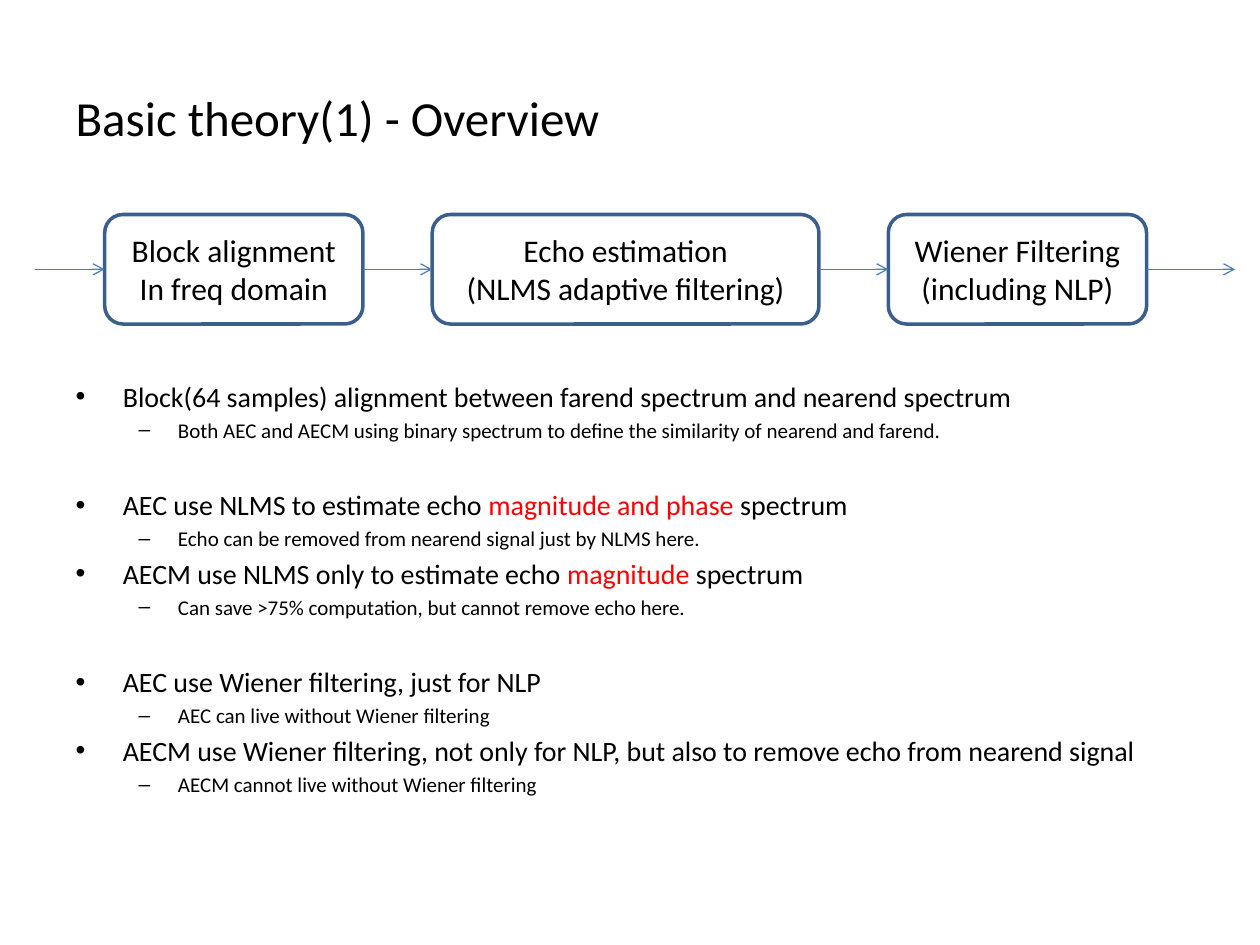
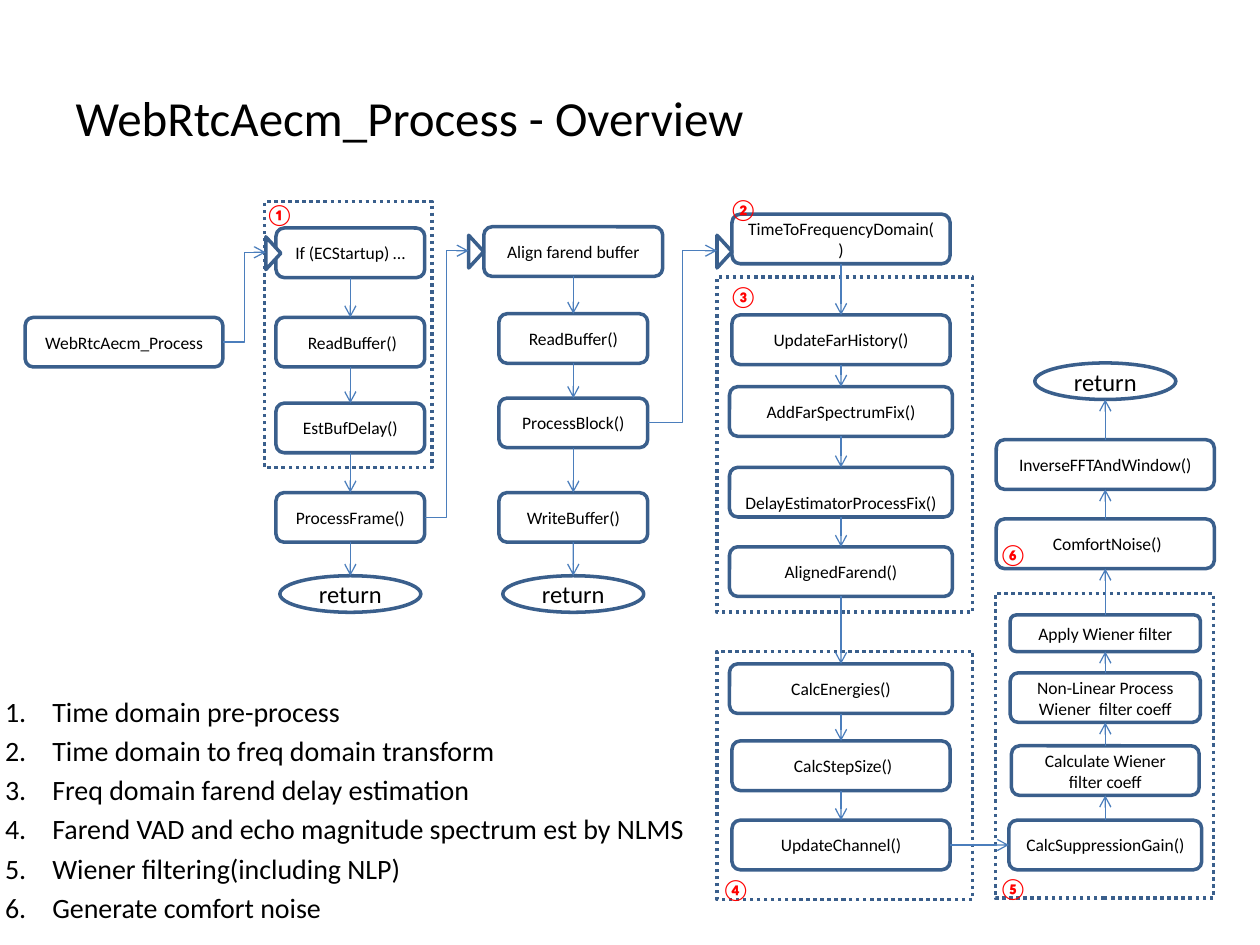
"""Builds two slides on acoustic echo cancellation: the theory and the process flow."""
from lxml import etree
from pptx import Presentation
from pptx.dml.color import RGBColor
from pptx.enum import dml, shapes, text
from pptx.oxml import ns
from pptx.util import Length, Pt

BLACK = RGBColor(0x00, 0x00, 0x00)
WHITE = RGBColor(0xFF, 0xFF, 0xFF)
RED = RGBColor(0xFF, 0x00, 0x00)
OUTLINE = RGBColor(0x3A, 0x5F, 0x8C)
ARROW = RGBColor(0x4B, 0x7E, 0xBC)
FONT = "Calibri"
KIND = shapes.MSO_SHAPE
TOP, LEFT, BOTTOM, RIGHT = range(4)
TITLE_BOX = (36, 21.6, 648, 90)
NODE_HEIGHT = 28.35
RETURN_SIZE = (80.6, 20.9)


def add_span(para, content, *, size, color=BLACK, bold=None):
    """Add a formatted run of text to a paragraph."""
    span = para.add_run()
    span.text = content
    span.font.name = FONT
    span.font.size = Pt(size)
    span.font.bold = bold
    span.font.color.rgb = color


def add_child(parent, tag, **attributes):
    """Append a drawing element to an XML parent."""
    return etree.SubElement(parent, ns.qn(tag), attributes)


def place(item, box):
    """Move an object to a box of left, top, width and height."""
    item.left, item.top, item.width, item.height = map(Pt, box)


def add_page(deck, title, body_box):
    """Add a titled slide and return it with its body text frame."""
    page = deck.slides.add_slide(deck.slide_layouts[1])
    heading, body = page.placeholders
    place(heading, TITLE_BOX)
    para = heading.text_frame.paragraphs[0]
    para.alignment = text.PP_ALIGN.LEFT
    add_span(para, title, size=28)
    place(body, body_box)
    body.text_frame.auto_size = text.MSO_AUTO_SIZE.NONE
    return page, body.text_frame


def next_para(frame):
    """Return the empty first paragraph of a frame, or a new one."""
    first = frame.paragraphs[0]
    return frame.add_paragraph() if first.runs else first


def add_node(page, box, content="", *, kind=KIND.ROUNDED_RECTANGLE, size=10, fill=None):
    """Add an outlined shape with centred lines of text."""
    node = page.shapes.add_shape(kind, *map(Pt, box))
    node.shadow.inherit = False
    if fill is None:
        node.fill.background()
    else:
        node.fill.solid()
        node.fill.fore_color.rgb = fill
    node.line.color.rgb = OUTLINE
    node.line.width = Pt(2)
    for line in filter(None, content.split("\n")):
        para = next_para(node.text_frame)
        para.alignment = text.PP_ALIGN.CENTER
        add_span(para, line, size=size)
    return node


def add_arrow(page, start, end, kind=shapes.MSO_CONNECTOR.STRAIGHT):
    """Add a thin connector with an open arrowhead at its end."""
    arrow = page.shapes.add_connector(kind, *map(Pt, (*start, *end)))
    arrow.line.color.rgb = ARROW
    arrow.line.width = Pt(0.75)
    add_child(arrow.line._get_or_add_ln(), "a:tailEnd", type="arrow")
    add_child(arrow._element.spPr, "a:effectLst")
    return arrow


def link(page, source, source_side, target, target_side):
    """Join two shapes with a straight arrow glued to their sides."""
    arrow = add_arrow(page, (0, 0), (0, 0))
    arrow.begin_connect(source, source_side)
    arrow.end_connect(target, target_side)


def add_pipeline(page, box, stages, gap, tail):
    """Add a row of stages with arrows into, between and out of them."""
    left, top, height = box
    middle = top + height / 2
    previous = None
    for content, width in stages:
        node = add_node(page, (left, top, width, height), content, size=18, fill=WHITE)
        if previous is None:
            add_arrow(page, (left - gap, middle), (left, middle))
        else:
            link(page, previous, RIGHT, node, LEFT)
        previous = node
        left += width + gap
    end = left - gap
    add_arrow(page, (end, middle), (end + tail, middle))


def add_column(page, center, top, steps, upward=False):
    """Stack centred steps, given as text, offset, width and height, and link them."""
    nodes = []
    for content, offset, width, height in steps:
        box = (center - width / 2, top + offset, width, height)
        if content == "return":
            node = add_node(page, box, content, kind=KIND.OVAL, size=14, fill=WHITE)
        else:
            node = add_node(page, box, content)
        nodes.append(node)
    for upper, lower in zip(nodes, nodes[1:]):
        if upward:
            link(page, lower, TOP, upper, BOTTOM)
        else:
            link(page, upper, BOTTOM, lower, TOP)
    return nodes


def add_entry(page, source, point):
    """Lead an elbow arrow from a shape to a triangle that opens a column."""
    x, y = point
    width, height = 18.7, 8.6
    box = (x + height / 2 - width / 2, y + 0.5 - height / 2, width, height)
    triangle = add_node(page, box, kind=KIND.ISOSCELES_TRIANGLE, fill=WHITE)
    triangle.rotation = 90
    right = Length(source.left + source.width)
    middle = Length(source.top + source.height // 2)
    add_arrow(page, (right.pt, middle.pt), point, shapes.MSO_CONNECTOR.ELBOW)


def add_group_frame(page, box):
    """Add a dotted frame around a group of steps."""
    frame = add_node(page, box, kind=KIND.RECTANGLE, fill=WHITE)
    frame.line.dash_style = dml.MSO_LINE.ROUND_DOT


def add_marker(page, corner, number):
    """Add a red circled number."""
    label = page.shapes.add_textbox(*map(Pt, (*corner, 39.6, 21.6)))
    label.text_frame.word_wrap = True
    add_span(label.text_frame.paragraphs[0], number, size=12, color=RED, bold=True)


def build_theory(deck):
    """Build the slide with the three stages and the notes on them."""
    page, frame = add_page(deck, "Basic theory(1) - Overview", (36, 213.1, 648, 269.3))
    points = [
        (False, ["Block(64 samples) alignment between farend spectrum and nearend spectrum"],
         "Both AEC and AECM using binary spectrum to define the similarity of nearend and farend."),
        (True, ["AEC use NLMS to estimate echo ", "magnitude and phase ", "spectrum"],
         "Echo can be removed from nearend signal just by NLMS here."),
        (False, ["AECM use NLMS only to estimate echo ", "magnitude", " spectrum"],
         "Can save >75% computation, but cannot remove echo here."),
        (True, ["AEC use Wiener filtering, just for NLP"],
         "AEC can live without Wiener filtering"),
        (False, ["AECM use Wiener filtering, not only for NLP, but also to remove echo "
                 "from nearend signal"],
         "AECM cannot live without Wiener filtering"),
    ]
    for starts_group, parts, detail in points:
        para = next_para(frame)
        if starts_group:
            para.space_before = Pt(26)
        for index, part in enumerate(parts):
            add_span(para, part, size=16, color=RED if index == 1 else BLACK)
        para = next_para(frame)
        para.level = 1
        add_span(para, detail, size=12)
    stages = [
        ("Block alignment\nIn freq domain", 147.6),
        ("Echo estimation\n(NLMS adaptive filtering)", 221),
        ("Wiener Filtering\n(including NLP)", 147.6),
    ]
    add_pipeline(page, (59.8, 122.6, 62.6), stages, gap=39.6, tail=50.6)


def build_process(deck):
    """Build the slide with the call flow and its numbered legend."""
    page, frame = add_page(deck, "WebRtcAecm_Process - Overview", (-4.3, 393.2, 648, 144))
    legend = [
        "Time domain pre-process",
        "Time domain to freq domain transform",
        "Freq domain farend delay estimation",
        "Farend VAD and echo magnitude spectrum est by NLMS",
        "Wiener filtering(including NLP)",
        "Generate comfort noise",
    ]
    for entry in legend:
        para = next_para(frame)
        add_span(para, entry, size=16)
        add_child(para._p.get_or_add_pPr(), "a:buAutoNum", type="arabicPeriod")

    for box in [
        (151.2, 115.2, 95.8, 151.9),
        (568.8, 339.1, 124.6, 174.2),
        (409.7, 372.2, 146.2, 141.8),
        (409.7, 158.4, 146.2, 191.5),
    ]:
        add_group_frame(page, box)

    height = NODE_HEIGHT
    root = add_node(page, (14.4, 181.4, 113, height), "WebRtcAecm_Process")
    startup = add_column(page, 200.2, 130.3, [
        ("If (ECStartup) …", 0, 85, height),
        (" ReadBuffer()", 51.1, 85, height),
        ("EstBufDelay()", 100.1, 85, height),
        ("ProcessFrame()", 151.2, 85, height),
        ("return", 198.7, *RETURN_SIZE),
    ])
    buffering = add_column(page, 327.6, 129.6, [
        ("Align farend buffer", 0, 102.2, height),
        ("ReadBuffer()", 49.7, 85, height),
        ("ProcessBlock()", 97.9, 85, height),
        ("WriteBuffer()", 151.9, 85, height),
        ("return", 199.4, *RETURN_SIZE),
    ])
    estimation = add_column(page, 480.6, 122.4, [
        ("TimeToFrequencyDomain()", 0, 124.6, height),
        ("UpdateFarHistory()", 57.6, 124.6, height),
        ("AddFarSpectrumFix()", 98.6, 127.4, height),
        (" DelayEstimatorProcessFix()", 144.7, 127.4, height),
        ("AlignedFarend()", 190.1, 127.4, height),
        ("CalcEnergies()", 257, 127.4, height),
        (" CalcStepSize()", 301, 124.6, height),
        ("UpdateChannel()", 346.3, 124.6, height),
    ])
    filtering = add_column(page, 631.6, 207.4, [
        ("return", 0, *RETURN_SIZE),
        ("InverseFFTAndWindow()", 43.9, 124.6, height),
        (" ComfortNoise()", 89.2, 124.6, height),
        ("Apply Wiener filter", 144, 108.7, 20.9),
        ("Non-Linear Process Wiener  filter coeff", 177.1, 108.7, height),
        ("Calculate Wiener filter coeff", 218.8, 107.3, height),
        ("CalcSuppressionGain()", 261.3, 110.2, height),
    ], upward=True)

    add_entry(page, root, (151.9, 144.2))
    add_entry(page, startup[3], (267.8, 143.3))
    add_entry(page, buffering[2], (409.7, 143.3))
    link(page, estimation[-1], RIGHT, filtering[-1], LEFT)

    corners = [(144.7, 111.6), (409.7, 108.7), (409.7, 158.4),
               (405.4, 497.5), (563.8, 496.8), (563.8, 306)]
    for corner, number in zip(corners, "①②③④⑤⑥"):
        add_marker(page, corner, number)


def main():
    """Build and save the deck."""
    deck = Presentation()
    deck.slide_width, deck.slide_height = Pt(720), Pt(540)
    build_theory(deck)
    build_process(deck)
    deck.save("out.pptx")


main()
